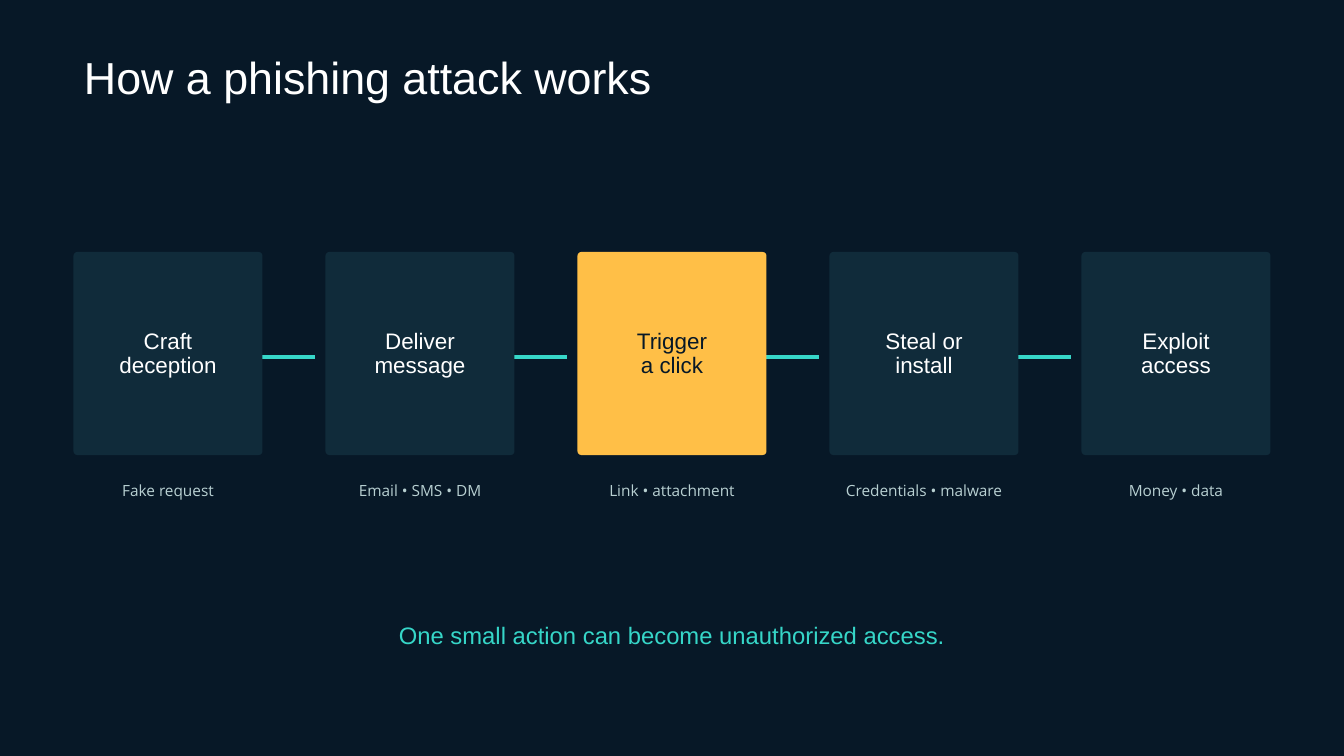
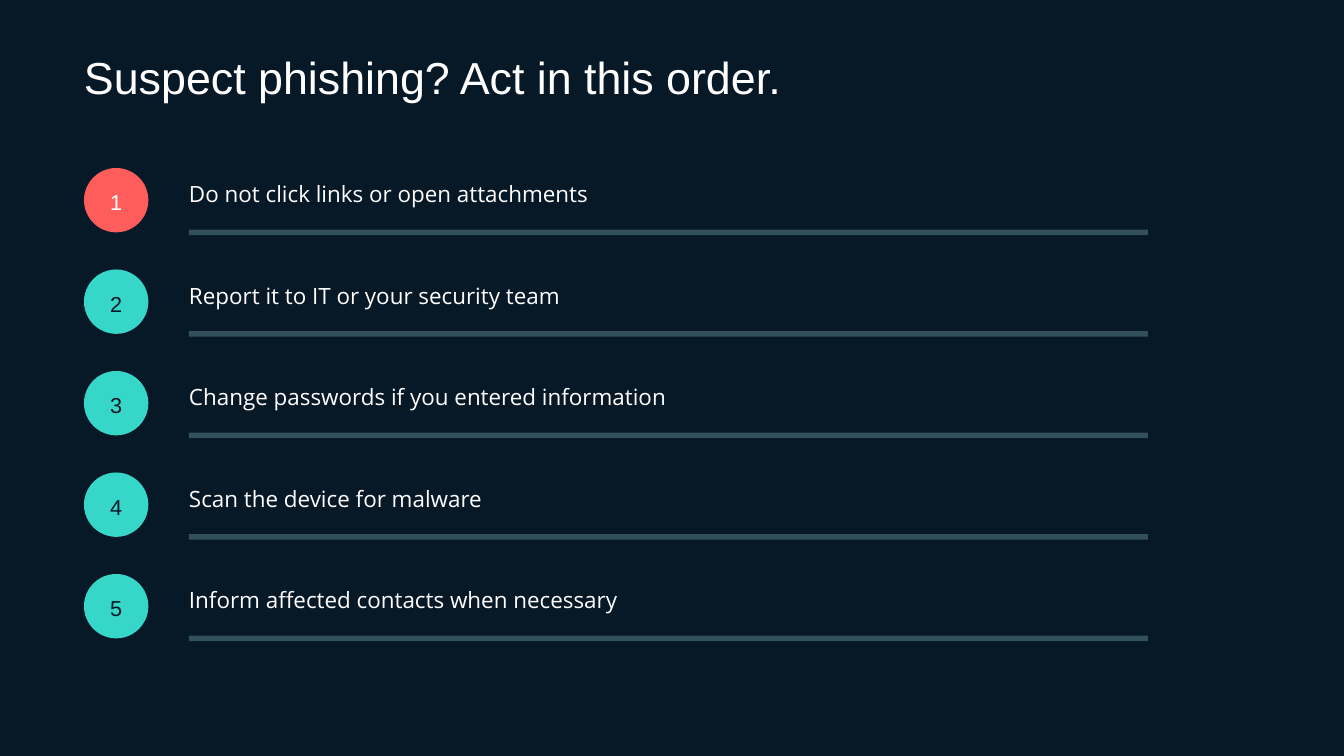
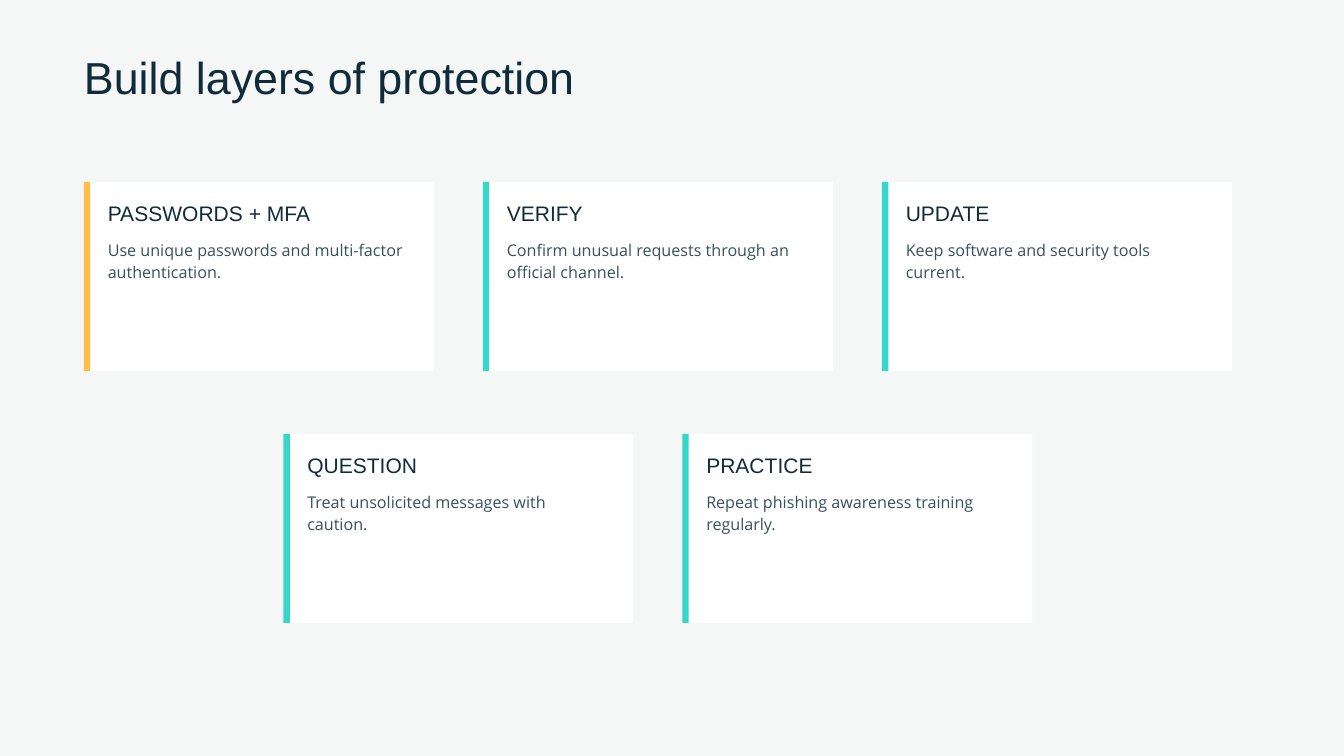
from lxml import etree
from pptx import Presentation
from pptx.dml.color import RGBColor
from pptx.enum.shapes import MSO_CONNECTOR, MSO_SHAPE
from pptx.enum.text import MSO_ANCHOR, PP_ALIGN
from pptx.oxml.ns import qn
from pptx.util import Inches, Pt

LEFT, CENTER = PP_ALIGN.LEFT, PP_ALIGN.CENTER
TOP, MIDDLE = MSO_ANCHOR.TOP, MSO_ANCHOR.MIDDLE
RECTANGLE, ROUNDED, OVAL = MSO_SHAPE.RECTANGLE, MSO_SHAPE.ROUNDED_RECTANGLE, MSO_SHAPE.OVAL
STRAIGHT = MSO_CONNECTOR.STRAIGHT

WIDTH, HEIGHT = Inches(20), Inches(11.25)
COLUMNS, ROWS = 192, 108
MARGIN = 12
HEADING_FONT, BODY_FONT = "Arial", "Open Sans"
COLORS = {
    "night": "071827", "navy": "102B3A", "paper": "F4F7F6", "white": "FFFFFF",
    "teal": "36D6C8", "amber": "FFBF47", "red": "FF5C5C",
    "mist": "B8D0D2", "rule": "31505C", "slate": "38515E",
}

STAGES = [
    ("Craft\ndeception", "Fake request"),
    ("Deliver\nmessage", "Email • SMS • DM"),
    ("Trigger\na click", "Link • attachment"),
    ("Steal or\ninstall", "Credentials • malware"),
    ("Exploit\naccess", "Money • data"),
]
KEY_STAGE = 2
ACTIONS = [
    "Do not click links or open attachments",
    "Report it to IT or your security team",
    "Change passwords if you entered information",
    "Scan the device for malware",
    "Inform affected contacts when necessary",
]
LAYER_ROWS = [
    [("PASSWORDS + MFA", "Use unique passwords and multi-factor authentication.", "amber"),
     ("VERIFY", "Confirm unusual requests through an official channel.", "teal"),
     ("UPDATE", "Keep software and security tools current.", "teal")],
    [("QUESTION", "Treat unsolicited messages with caution.", "teal"),
     ("PRACTICE", "Repeat phishing awareness training regularly.", "teal")],
]


def color(name):
    """Return the named colour of the palette."""
    return RGBColor.from_string(COLORS[name])


def place(left, top, width, height):
    """Turn grid columns and rows into slide lengths."""
    column, row = WIDTH / COLUMNS, HEIGHT / ROWS
    return [round(size) for size in (left * column, top * row, width * column, height * row)]


def write(shape, text, size, leading, ink, font=HEADING_FONT, align=LEFT, anchor=TOP, inset=0):
    """Write text into a shape, one paragraph per line."""
    frame = shape.text_frame
    frame.word_wrap = True
    frame.vertical_anchor = anchor
    frame.margin_left = frame.margin_right = Inches(inset)
    frame.margin_top = frame.margin_bottom = Inches(inset)
    for index, line in enumerate(text.split("\n")):
        para = frame.add_paragraph() if index else frame.paragraphs[0]
        para.alignment = align
        para.line_spacing = Pt(leading)
        span = para.add_run()
        span.text = line
        span.font.name = font
        span.font.size = Pt(size)
        span.font.color.rgb = color(ink)


def add_text(page, area, text, **style):
    """Add a text box on a grid area."""
    write(page.shapes.add_textbox(*place(*area)), text, **style)


def add_block(page, kind, area, fill):
    """Add a flat filled shape on a grid area."""
    shape = page.shapes.add_shape(kind, *place(*area))
    shape.shadow.inherit = False
    shape.fill.solid()
    shape.fill.fore_color.rgb = color(fill)
    shape.line.fill.background()
    return shape


def add_link(page, left, top, length):
    """Add a horizontal teal line."""
    x, y, width, _ = place(left, top, length, 0)
    link = page.shapes.add_connector(STRAIGHT, x, y, x + width, y)
    link.line.color.rgb = color("teal")
    link.line.width = Pt(3.75)
    etree.SubElement(link._element.spPr, qn("a:effectLst"))


def add_page(deck, title, background="night", ink="white"):
    """Add a blank page with its background and title."""
    page = deck.slides.add_slide(deck.slide_layouts[6])
    page.background.fill.solid()
    page.background.fill.fore_color.rgb = color(background)
    add_text(page, (MARGIN, 8.25, 150, 6.75), title, size=48, leading=49, ink=ink)
    return page


def add_stage(page, left, label, caption, highlighted):
    """Add one attack stage with its caption."""
    width = 27
    fill, ink = ("amber", "night") if highlighted else ("navy", "white")
    card = add_block(page, ROUNDED, (left, 36, width, 29), fill)
    card.adjustments[0] = 0.02
    write(card, label, size=24, leading=26.4, ink=ink, align=CENTER, anchor=MIDDLE, inset=0.06)
    add_text(page, (left, 68.4, width, 2.8), caption, size=16.5, leading=22.3,
             ink="mist", font=BODY_FONT, align=CENTER)


def add_action(page, top, number, action):
    """Add a numbered action above its rule."""
    fill, ink = ("red", "white") if number == 1 else ("teal", "night")
    badge = add_block(page, OVAL, (MARGIN, top, 9.2, 9.2), fill)
    write(badge, str(number), size=23.25, leading=32.5, ink=ink,
          align=CENTER, anchor=MIDDLE)
    add_text(page, (27, top + 1.3, 137, 4), action, size=24, leading=32.4,
             ink="white", font=BODY_FONT)
    add_block(page, RECTANGLE, (27, top + 8.8, 137, 0.8), "rule")


def add_layer(page, left, top, heading, advice, accent):
    """Add a protection card with an accent edge."""
    add_block(page, RECTANGLE, (left, top, 50, 27), "white")
    add_block(page, RECTANGLE, (left, top, 0.9, 27), accent)
    add_text(page, (left + 3.4, top + 3.2, 43.2, 3.4), heading,
             size=22.5, leading=22.9, ink="navy")
    add_text(page, (left + 3.4, top + 8, 43.2, 6), advice,
             size=17.25, leading=23.3, ink="slate", font=BODY_FONT)


def build_attack(deck):
    """Build the chain of attack stages."""
    page = add_page(deck, "How a phishing attack works")
    for index, (label, caption) in enumerate(STAGES):
        left = 10.5 + 36 * index
        if index < len(STAGES) - 1:
            add_link(page, left + 27, 51, 7.5)
        add_stage(page, left, label, caption, index == KEY_STAGE)
    add_text(page, (47, 89.3, 98, 3.7), "One small action can become unauthorized access.",
             size=25.5, leading=26, ink="teal", align=CENTER)


def build_response(deck):
    """Build the ordered list of actions."""
    page = add_page(deck, "Suspect phishing? Act in this order.")
    for index, action in enumerate(ACTIONS):
        add_action(page, 24 + 14.5 * index, index + 1, action)


def build_protection(deck):
    """Build the rows of protection cards."""
    page = add_page(deck, "Build layers of protection", background="paper", ink="navy")
    pitch = 57
    for row, layers in enumerate(LAYER_ROWS):
        indent = (len(LAYER_ROWS[0]) - len(layers)) * pitch / 2
        for column, layer in enumerate(layers):
            add_layer(page, MARGIN + indent + pitch * column, 26 + 36 * row, *layer)


def main():
    """Build and save the deck."""
    deck = Presentation()
    deck.slide_width, deck.slide_height = WIDTH, HEIGHT
    build_attack(deck)
    build_response(deck)
    build_protection(deck)
    deck.save("out.pptx")


if __name__ == "__main__":
    main()
